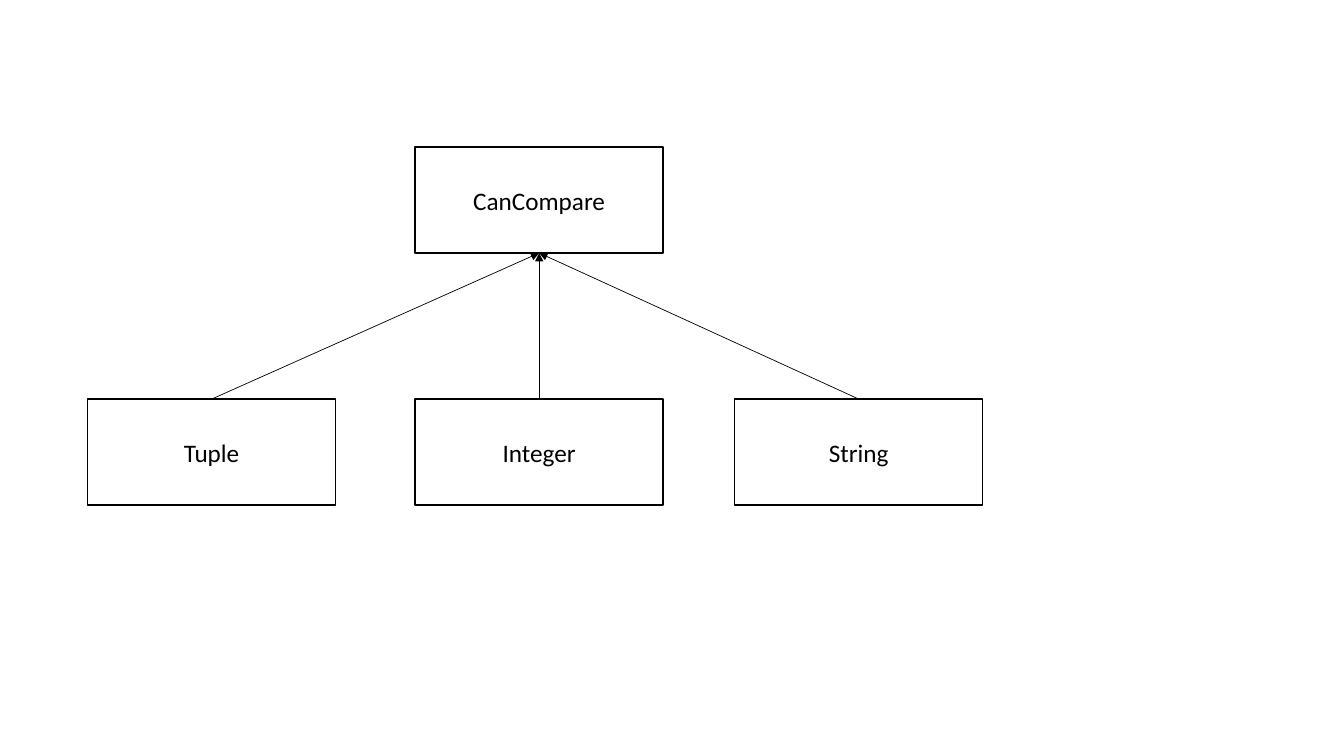
"""Build a slide where three types point up to the trait they share."""
from dataclasses import dataclass

from lxml import etree
from pptx import Presentation
from pptx import util as u
from pptx.dml.color import RGBColor
from pptx.enum import shapes, text
from pptx.oxml import ns
from pptx.shapes.autoshape import Shape
from pptx.shapes.shapetree import SlideShapes


@dataclass(frozen=True)
class Theme:
    ink: RGBColor = RGBColor(0, 0, 0)
    paper: RGBColor = RGBColor(255, 255, 255)
    font: str = "Calibri"
    size: float = 18
    edge: float = 1
    arrow: float = 0.5


@dataclass(frozen=True)
class Box:
    label: str
    left: float
    top: float
    width: float = 177.1
    height: float = 75.6


THEME = Theme()
TOP, LOW = 105.1, 285.1
TRAIT = Box("CanCompare", 296.6, TOP)
TYPES = (
    Box("Tuple", 62.6, LOW),
    Box("Integer", TRAIT.left, LOW),
    Box("String", 524.9, LOW),
)


def write(shape: Shape, label: str, *, size: float = THEME.size,
          font: str = THEME.font, ink: RGBColor = THEME.ink) -> None:
    frame = shape.text_frame
    frame.word_wrap = True
    frame.vertical_anchor = text.MSO_ANCHOR.MIDDLE
    para = frame.paragraphs[0]
    para.alignment = text.PP_ALIGN.CENTER
    run = para.add_run()
    run.text = label
    run.font.size = u.Pt(size)
    run.font.name = font
    run.font.color.rgb = ink


def draw_box(tree: SlideShapes, box: Box) -> Shape:
    shape = tree.add_shape(
        shapes.MSO_SHAPE.RECTANGLE,
        u.Pt(box.left), u.Pt(box.top), u.Pt(box.width), u.Pt(box.height))
    shape.shadow.inherit = False
    shape.fill.solid()
    shape.fill.fore_color.rgb = THEME.paper
    shape.line.color.rgb = THEME.ink
    shape.line.width = u.Pt(THEME.edge)
    write(shape, box.label)
    return shape


def draw_arrow(tree: SlideShapes, child: Shape, parent: Shape) -> None:
    link = tree.add_connector(
        shapes.MSO_CONNECTOR.STRAIGHT, u.Pt(0), u.Pt(0), u.Pt(0), u.Pt(0))
    link.begin_connect(child, 0)
    link.end_connect(parent, 2)
    link.line.color.rgb = THEME.ink
    link.line.width = u.Pt(THEME.arrow)
    etree.SubElement(link.line._get_or_add_ln(), ns.qn("a:tailEnd"),
                     type="triangle")
    etree.SubElement(link._element.spPr, ns.qn("a:effectLst"))


def main() -> None:
    deck = Presentation()
    deck.slide_width, deck.slide_height = u.Pt(960), u.Pt(540)
    tree = deck.slides.add_slide(deck.slide_layouts[6]).shapes
    trait = draw_box(tree, TRAIT)
    types = [draw_box(tree, box) for box in TYPES]
    for child in types:
        draw_arrow(tree, child, trait)
    deck.save("out.pptx")


main()
